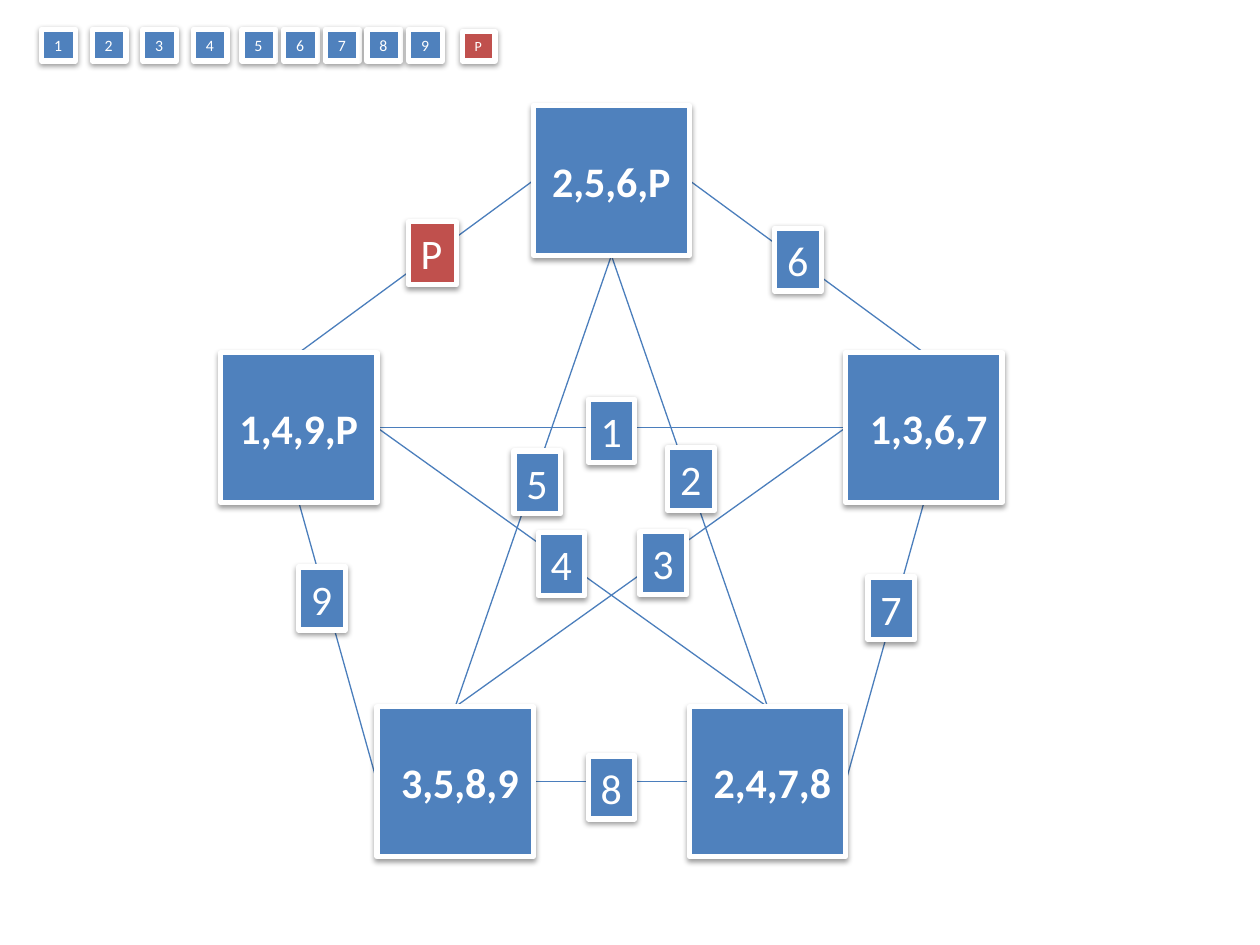
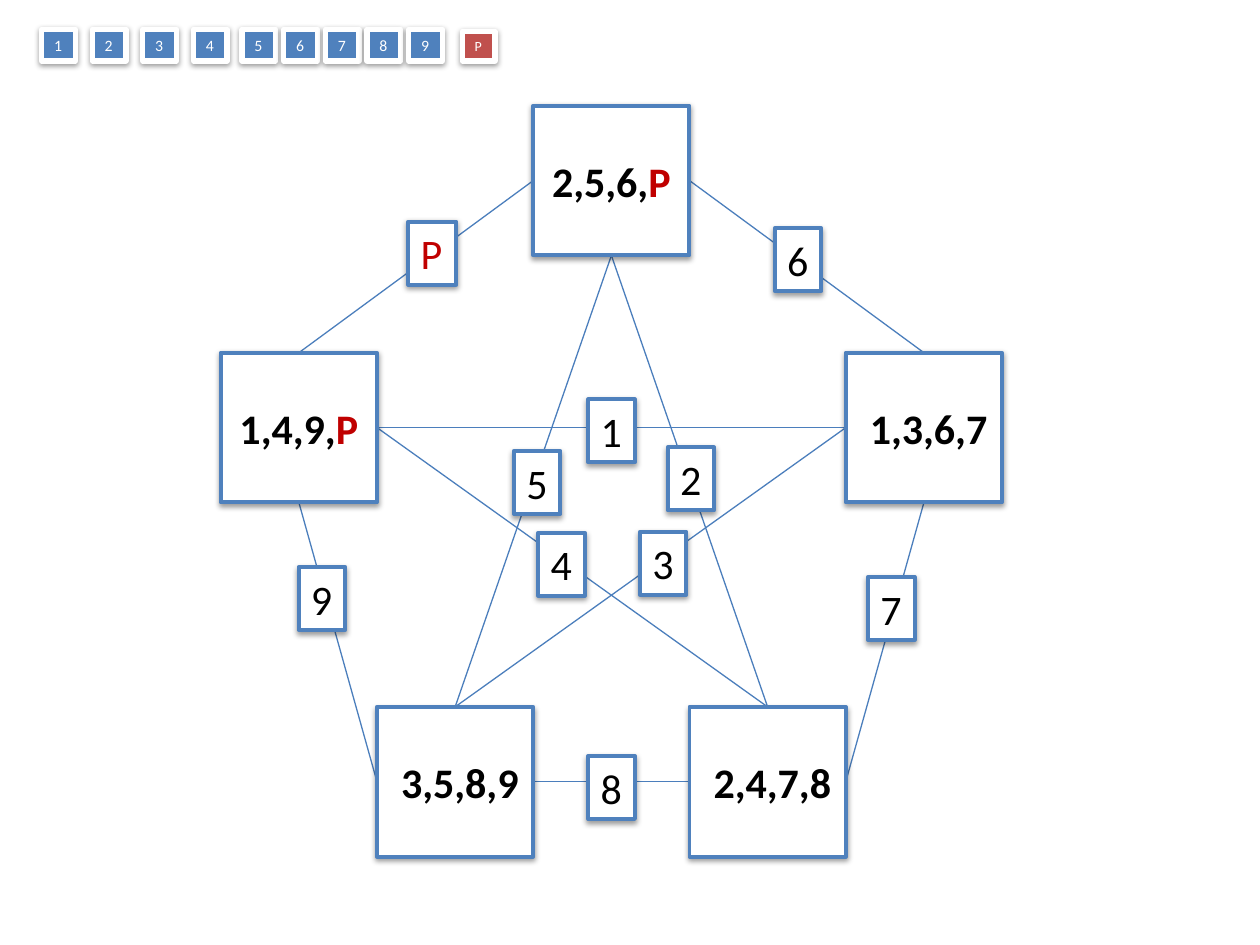
import pptx
import pptx.util
import pptx.dml.color
import pptx.enum.shapes
import pptx.enum.text
import pptx.oxml.ns
import lxml.etree

Cm, Pt = pptx.util.Cm, pptx.util.Pt
qn = pptx.oxml.ns.qn
Text = pptx.enum.text

HUES = {"blue": "4F81BD", "edge": "4B7EBC", "red": "C0504D",
        "dark": "C00000", "white": "FFFFFF", "black": "000000"}

# A look: fill, fill of P, border, border width, ink, ink of P
SOLID = ("blue", "red", "white", 3, "white", "white")
PLAIN = ("white", "white", "blue", 2.25, "black", "dark")

SIDE, HIGH = 3.15, 3.02
LEFT = 4.45  # nodes stand in columns one node wide
NODES = {  # column, top, text
    "east": (4, 7.11, " 1,3,6,7"),
    "north": (2, 2.13, "2,5,6,P"),
    "west": (0, 7.11, "1,4,9,P"),
    "sw": (1, 14.25, " 3,5,8,9"),
    "se": (3, 14.25, " 2,4,7,8"),
}
TOP, WEST, BASE, EAST = range(4)
EDGES = [
    ("west", TOP, "north", WEST), ("north", EAST, "east", TOP),
    ("east", BASE, "se", EAST), ("se", WEST, "sw", EAST),
    ("west", BASE, "sw", WEST), ("north", BASE, "sw", TOP),
    ("sw", TOP, "east", WEST), ("east", WEST, "west", EAST),
    ("west", EAST, "se", TOP), ("se", TOP, "north", BASE),
]
TAGS = {
    "P": (8.23, 4.47), "4": (10.85, 10.74), "8": (11.86, 15.24),
    "7": (17.5, 11.63), "6": (15.62, 4.6), "1": (11.86, 8.05),
    "2": (13.46, 9.02), "3": (12.9, 10.72), "5": (10.36, 9.09),
    "9": (6.02, 11.43),
}


def rgb(hue):
    return pptx.dml.color.RGBColor.from_string(HUES[hue])


class Board:
    def __init__(self, deck):
        self.deck = deck

    def start(self, look):
        """Add a slide and choose the look of what is drawn next."""
        self.slide = self.deck.slides.add_slide(self.deck.slide_layouts[6])
        self.home = self.slide.shapes
        self.look = look

    def group(self):
        """Draw what follows into a new group."""
        self.home = self.slide.shapes.add_group_shape().shapes

    def shade(self, box):
        box.shadow.inherit = False
        parts = box.element.spPr.find(qn("a:effectLst"))
        drop = lxml.etree.SubElement(
            parts, qn("a:outerShdw"), blurRad="40000", dist="20000",
            dir="5400000", rotWithShape="0")
        tint = lxml.etree.SubElement(drop, qn("a:srgbClr"), val=HUES["black"])
        lxml.etree.SubElement(tint, qn("a:alpha"), val="38000")

    def box(self, x, y, wide, high, text, size, bold=False):
        fill, fill_p, rim, width, ink, ink_p = self.look
        box = self.home.add_shape(
            pptx.enum.shapes.MSO_SHAPE.RECTANGLE,
            Cm(x), Cm(y), Cm(wide), Cm(high))
        box.fill.solid()
        box.fill.fore_color.rgb = rgb(fill_p if text == "P" else fill)
        box.line.color.rgb = rgb(rim)
        box.line.width = Pt(width)
        self.shade(box)
        para = box.text_frame.paragraphs[0]
        body, mark, _ = text.partition("P")
        if body and mark and ink != ink_p:
            para.text = body
            para.add_run().text = mark
        else:
            para.text = text
        for run in para.runs:
            run.font.name = "Calibri"
            run.font.size = Pt(size)
            run.font.bold = bold
            run.font.color.rgb = rgb(ink_p if run.text == "P" else ink)
        return box

    def node(self, col, y, text):
        box = self.box(LEFT + col * SIDE, y, SIDE, HIGH, text, 24, True)
        box.text_frame.vertical_anchor = Text.MSO_ANCHOR.MIDDLE
        box.text_frame.paragraphs[0].alignment = Text.PP_ALIGN.CENTER
        return box

    def tag(self, x, y, wide, high, text, size):
        frame = self.box(x, y, wide, high, text, size).text_frame
        frame.word_wrap = False
        frame.auto_size = Text.MSO_AUTO_SIZE.SHAPE_TO_FIT_TEXT
        frame.vertical_anchor = Text.MSO_ANCHOR.TOP
        frame.paragraphs[0].alignment = Text.PP_ALIGN.LEFT

    def edge(self, a, side_a, b, side_b, front):
        """Join two nodes with a line that lies behind the front shape."""
        line = self.home.add_connector(
            pptx.enum.shapes.MSO_CONNECTOR.STRAIGHT,
            a.left, a.top, b.left, b.top)
        line.begin_connect(a, side_a)
        line.end_connect(b, side_b)
        line.line.color.rgb = rgb("edge")
        line.line.width = Pt(0.75)
        lxml.etree.SubElement(line.element.spPr, qn("a:effectLst"))
        front.element.addprevious(line.element)

    def graph(self):
        nodes = {name: self.node(*spot) for name, spot in NODES.items()}
        for a, side_a, b, side_b in EDGES:
            self.edge(nodes[a], side_a, nodes[b], side_b, nodes["east"])
        for text, (x, y) in TAGS.items():
            self.tag(x, y, 0.97 if text == "P" else 0.94, 1.27, text, 24)

    def row(self):
        """Draw the strip of small tags at the top left."""
        self.look = SOLID
        self.group()
        spots = [0.84 + 1.02 * i for i in range(4)]
        spots += [4.88 + 0.84 * i for i in range(5)]
        for num, x in enumerate(spots, 1):
            self.tag(x, 0.59, 0.68, 0.64, str(num), 9)
        self.tag(9.32, 0.63, 0.66, 0.6, "P", 8)


def main():
    deck = pptx.Presentation()
    deck.slide_width, deck.slide_height = Cm(25.4), Cm(19.05)
    board = Board(deck)
    for look in (SOLID, PLAIN):
        board.start(look)
        if look is SOLID:
            board.group()
        board.graph()
        board.row()
    deck.save("out.pptx")


if __name__ == "__main__":
    main()
